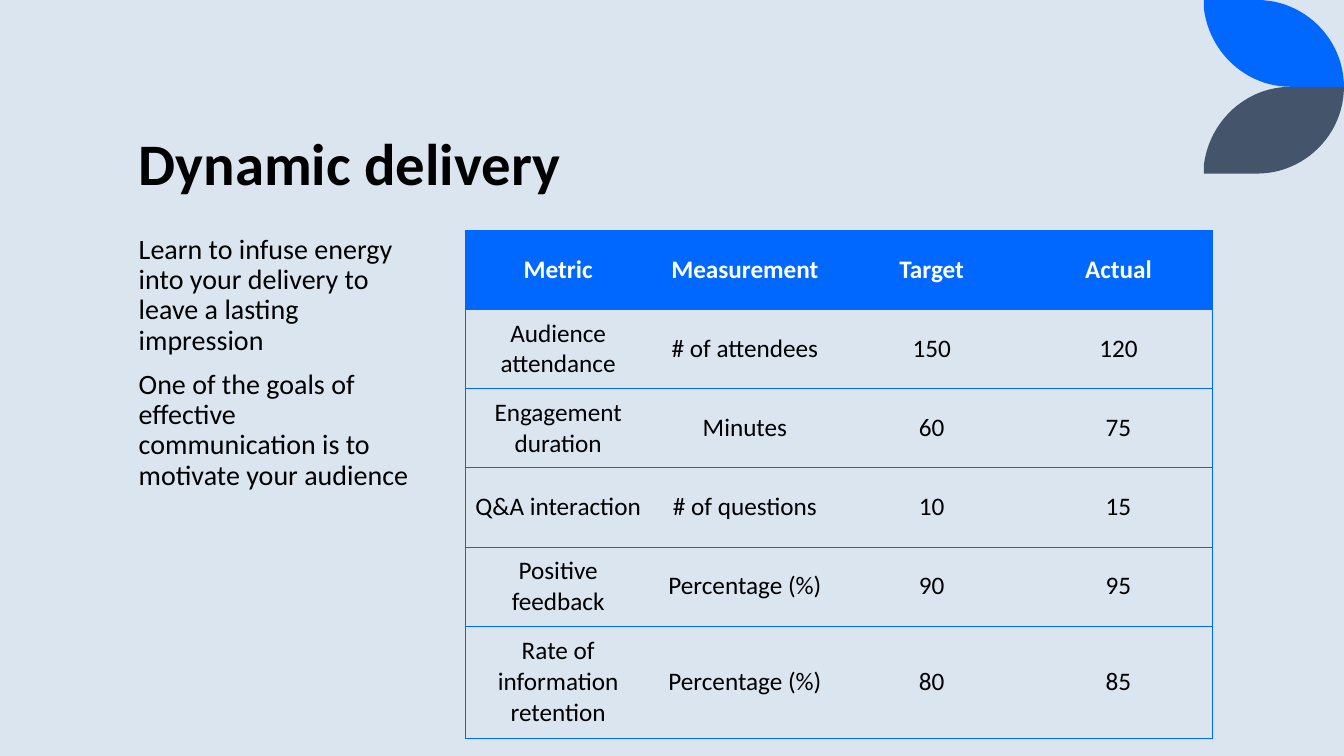
from lxml import etree
from pptx import Presentation
from pptx.dml.color import RGBColor
from pptx.enum import text
from pptx.oxml import ns
from pptx.util import Pt

BLUE, SLATE, BLACK, WHITE = "0068FF", "44546A", "000000", "FFFFFF"


def color(hex_string):
    return RGBColor.from_string(hex_string)


def write(frame, *lines, size, fill=BLACK, bold=False, spacing=1.0, before=0,
          align=text.PP_ALIGN.LEFT, anchor=text.MSO_ANCHOR.TOP):
    """Fill a text frame with one paragraph per line."""
    frame.word_wrap = True
    frame.vertical_anchor = anchor
    for index, line in enumerate(lines):
        paragraph = frame.add_paragraph() if index else frame.paragraphs[0]
        paragraph.alignment = align
        paragraph.line_spacing = spacing
        paragraph.space_before = Pt(before if index else 0)
        run = paragraph.add_run()
        run.text = line
        run.font.name = "Calibri"
        run.font.size = Pt(size)
        run.font.bold = bold
        run.font.color.rgb = color(fill)


presentation = Presentation()
presentation.slide_width, presentation.slide_height = Pt(960), Pt(540)
slide = presentation.slides.add_slide(presentation.slide_layouts[6])
slide.background.fill.solid()
slide.background.fill.fore_color.rgb = color("DAE5EF")

# Two leaves in the corner, the lower one mirrored below the upper one
leaf_left, leaf_height, steps = 860, 62, 24
leaf_curves = [
    [(38, 0), (72, 0), (100, 28), (100, 62)],
    [(62, 62), (30, 62), (4, 37.5), (0, 6.5)],
]
outline = []
for curve in leaf_curves:
    for step in range(steps + 1):
        t = step / steps
        weights = [(1 - t) ** 3, 3 * t * (1 - t) ** 2, 3 * t ** 2 * (1 - t), t ** 3]
        outline.append([sum(w * point[axis] for w, point in zip(weights, curve))
                        for axis in (0, 1)])

for fill, top, direction in [(BLUE, 0, 1), (SLATE, 2 * leaf_height, -1)]:
    builder = slide.shapes.build_freeform(Pt(leaf_left), Pt(top))
    builder.add_line_segments([(Pt(leaf_left + x), Pt(top + direction * y))
                               for x, y in outline])
    leaf = builder.convert_to_shape()
    leaf.shadow.inherit = False
    leaf.fill.solid()
    leaf.fill.fore_color.rgb = color(fill)
    leaf.line.fill.background()

title = slide.shapes.add_textbox(Pt(92), Pt(36), Pt(763), Pt(108))
write(title.text_frame, "Dynamic delivery", size=42, bold=True, spacing=0.8,
      anchor=text.MSO_ANCHOR.BOTTOM)

body = slide.shapes.add_textbox(Pt(92), Pt(164.5), Pt(212.5), Pt(306.5))
write(body.text_frame,
      "Learn to infuse energy into your delivery to leave a lasting impression",
      "One of the goals of effective communication is to motivate your audience",
      size=20, spacing=0.9, before=10)

metrics = [
    ["Metric", "Measurement", "Target", "Actual"],
    ["Audience attendance", "# of attendees", "150", "120"],
    ["Engagement duration", "Minutes", "60", "75"],
    ["Q&A interaction", "# of questions", "10", "15"],
    ["Positive feedback", "Percentage (%)", "90", "95"],
    ["Rate of information retention", "Percentage (%)", "80", "85"],
]
row_heights = [56.5] * 5 + [80.5]
column_count = len(metrics[0])
table = slide.shapes.add_table(len(metrics), column_count, Pt(332), Pt(164.5),
                               Pt(533.6), Pt(sum(row_heights))).table
table.first_row = True
table.horz_banding = False
for row, height in zip(table.rows, row_heights):
    row.height = Pt(height)

for row_index, values in enumerate(metrics):
    is_header = row_index == 0
    for column_index, value in enumerate(values):
        cell = table.cell(row_index, column_index)
        properties = cell._tc.get_or_add_tcPr()
        borders = {"lnL": column_index == 0, "lnR": column_index == column_count - 1,
                   "lnT": True, "lnB": True}
        for side, visible in borders.items():
            border = etree.SubElement(properties, ns.qn("a:" + side), w=str(Pt(0.25)))
            if visible:
                solid = etree.SubElement(border, ns.qn("a:solidFill"))
                etree.SubElement(solid, ns.qn("a:srgbClr"), val=BLUE)
            else:
                etree.SubElement(border, ns.qn("a:noFill"))
        if is_header:
            cell.fill.solid()
            cell.fill.fore_color.rgb = color(BLUE)
        else:
            cell.fill.background()
        write(cell.text_frame, value, size=18, bold=is_header,
              fill=WHITE if is_header else BLACK, align=text.PP_ALIGN.CENTER)
        cell.vertical_anchor = text.MSO_ANCHOR.MIDDLE

presentation.save("out.pptx")
